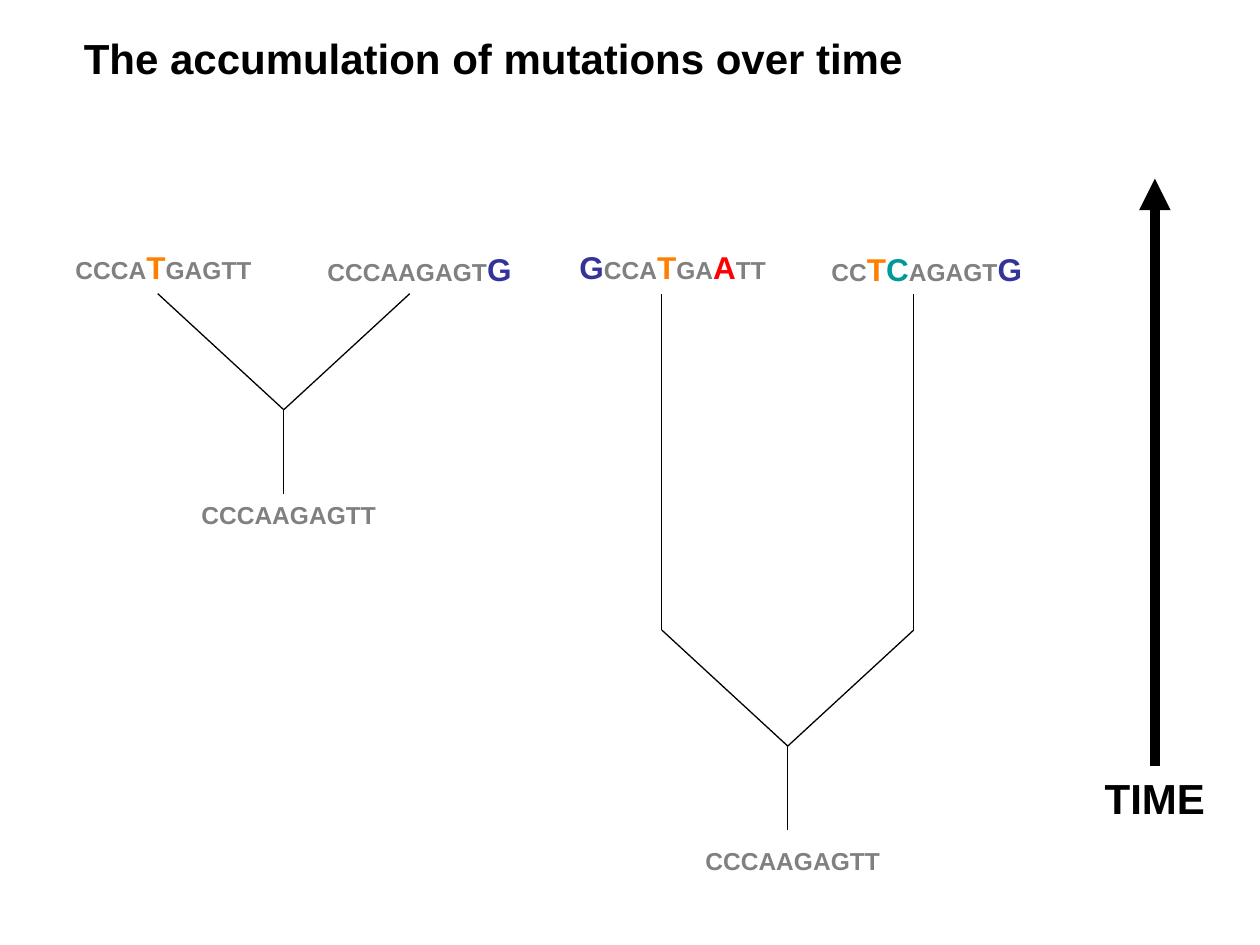
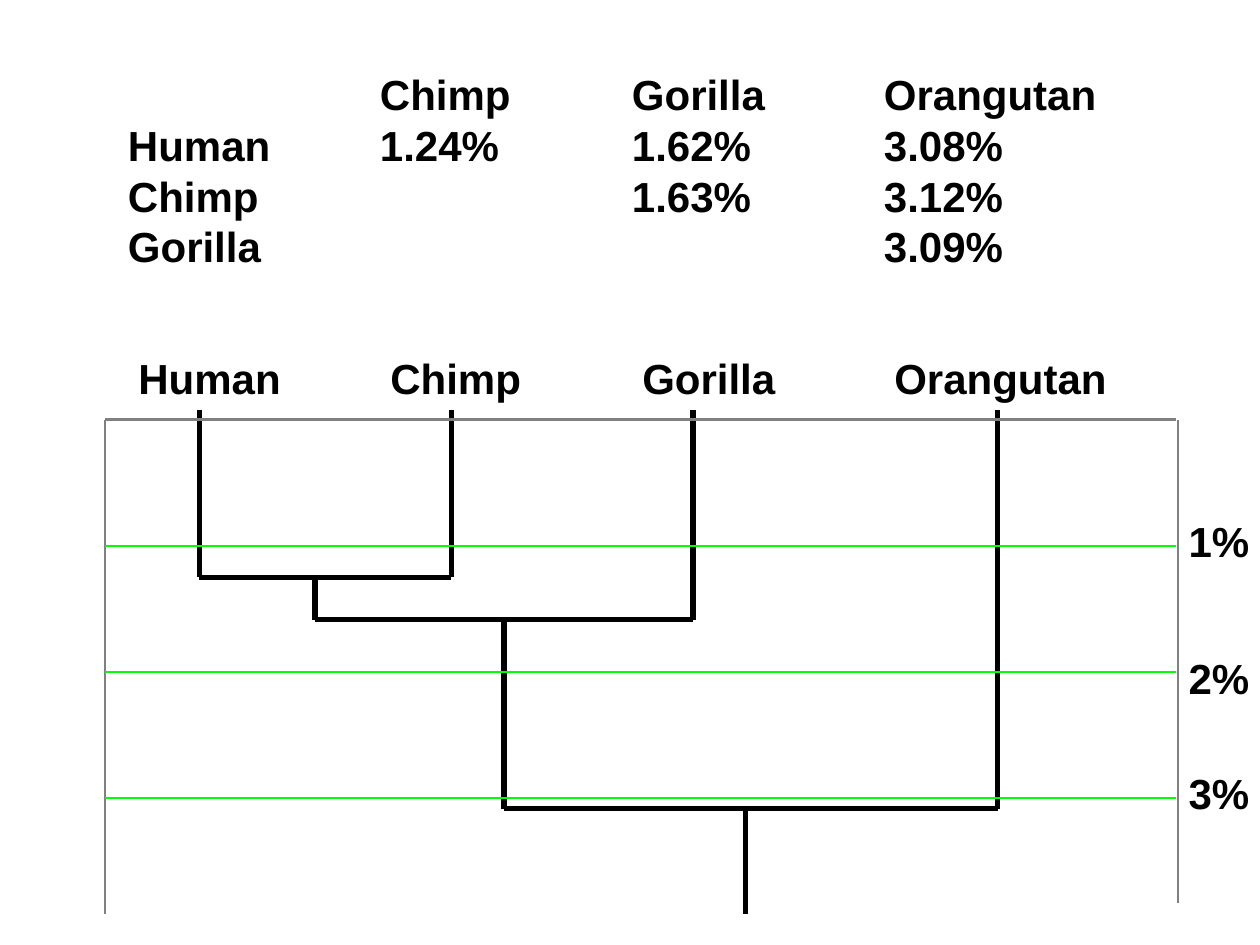
from dataclasses import dataclass
from itertools import groupby

from lxml import etree
from pptx import Presentation
from pptx.dml.color import RGBColor as Rgb
from pptx.enum.shapes import MSO_CONNECTOR as Connector
from pptx.enum.text import MSO_ANCHOR as Anchor
from pptx.oxml.ns import qn
from pptx.util import Cm, Pt


@dataclass(frozen=True)
class Theme:
    font: str = "Arial"
    ink: str = "000000"
    grey: str = "808080"
    green: str = "00FF00"
    heading: int = 24
    mutated: int = 18
    sequence: int = 14
    thin: float = 0.75
    grid: float = 1
    frame: float = 1.5
    branch: float = 3
    arrow: float = 6


theme = Theme()
base_colours = {"A": "FF0000", "C": "009999", "G": "333399", "T": "FF8000"}


def write(frame, runs):
    frame.word_wrap = True
    for text, size, colour in runs:
        run = frame.paragraphs[0].add_run()
        run.text = text
        formats = {"name": theme.font, "size": Pt(size), "bold": True}
        for attribute, value in formats.items():
            setattr(run.font, attribute, value)
        run.font.color.rgb = Rgb.from_string(colour)


def draw_line(slide, x1, y1, x2, y2, width, colour=theme.ink):
    line = slide.shapes.add_connector(
        Connector.STRAIGHT, Cm(x1), Cm(y1), Cm(x2), Cm(y2))
    line.line.width = Pt(width)
    line.line.color.rgb = Rgb.from_string(colour)
    etree.SubElement(line._element.spPr, qn("a:effectLst"))
    return line


deck = Presentation()
deck.slide_width, deck.slide_height = Cm(25.4), Cm(19.05)
blank = deck.slide_layouts[6]
column = 5.08

mutations = deck.slides.add_slide(blank)
for text, x, y, width in [
    ("The accumulation of mutations over time", 1.44, 0.53, 17.4),
    ("TIME", 22.02, 15.44, 2.9),
]:
    heading = mutations.shapes.add_textbox(Cm(x), Cm(y), Cm(width), Cm(1.27))
    write(heading.text_frame, [(text, theme.heading, theme.ink)])

time_arrow = draw_line(mutations, 23.28, 15.44, 23.28, 3.6, theme.arrow)
etree.SubElement(time_arrow.line._get_or_add_ln(), qn("a:tailEnd"), type="triangle")

ancestor = "CCCAAGAGTT"
tip_top = 5.92
for left, split, root_top, descendants in [
    (3.18, tip_top, 9.96, ["CCCATGAGTT", "CCCAAGAGTG"]),
    (13.34, 12.7, 16.94, ["GCCATGAATT", "CCTCAGAGTG"]),
]:
    middle, right = left + column / 2, left + column
    fork = split + 2.34
    draw_line(mutations, left, split, middle, fork, theme.thin)
    draw_line(mutations, middle, fork, right, split, theme.thin)
    draw_line(mutations, middle, fork, middle, fork + 1.69, theme.thin)
    if split > tip_top:
        for tip in (left, right):
            draw_line(mutations, tip, split, tip, tip_top, theme.thin)

    for sequence, x, y in [
        (ancestor, middle, root_top),
        (descendants[0], left, 4.87),
        (descendants[1], right, 4.91),
    ]:
        pairs = zip(sequence, ancestor)
        runs = []
        for mutated, group in groupby(pairs, lambda pair: pair[0] != pair[1] and pair[0]):
            bases = "".join(base for base, _ in group)
            runs.append((bases, theme.mutated, base_colours[mutated]) if mutated
                        else (bases, theme.sequence, theme.grey))
        label = mutations.shapes.add_textbox(Cm(x - 1.91), Cm(y), Cm(4.45), Cm(0.95))
        write(label.text_frame, runs)

apes = deck.slides.add_slide(blank)
distances = [
    ["", "Chimp", "Gorilla", "Orangutan"],
    ["Human", "1.24%", "1.62%", "3.08%"],
    ["Chimp", "", "1.63%", "3.12%"],
    ["Gorilla", "", "", "3.09%"],
]
row_height = 1.02
table = apes.shapes.add_table(
    4, 4, Cm(2.33), Cm(1.43), Cm(4 * column), Cm(4 * row_height)).table
for band in ("first_row", "horz_banding"):
    setattr(table, band, False)
cell_formats = {
    "margin_left": Cm(0.25), "margin_right": Cm(0),
    "margin_top": Cm(0), "margin_bottom": Cm(0),
    "vertical_anchor": Anchor.MIDDLE,
}
for row, values in zip(table.rows, distances):
    row.height = Cm(row_height)
    for cell, value in zip(row.cells, values):
        cell.fill.background()
        for attribute, setting in cell_formats.items():
            setattr(cell, attribute, setting)
        if value:
            write(cell.text_frame, [(value, theme.heading, theme.ink)])

for index, species in enumerate(["Human", "Chimp", "Gorilla", "Orangutan"]):
    label = apes.shapes.add_textbox(
        Cm(2.54 + index * column), Cm(6.99), Cm(column), Cm(1.27))
    write(label.text_frame, [(species, theme.heading, theme.ink)])

tips_top, zero, percent = 8.26, 8.46, 2.54
human, chimp, gorilla, orangutan = 4.02, 9.1, 13.97, 20.11
human_chimp, african, great_apes = 6.35, 10.16, 15.03
chimp_split, gorilla_split, orangutan_split, bottom = 11.64, 12.49, 16.3, 18.42
for x, top, end in [
    (human, tips_top, chimp_split),
    (chimp, tips_top, chimp_split),
    (gorilla, tips_top, gorilla_split),
    (orangutan, tips_top, orangutan_split),
    (human_chimp, chimp_split, gorilla_split),
    (african, gorilla_split, orangutan_split),
    (great_apes, orangutan_split, bottom),
]:
    draw_line(apes, x, top, x, end, theme.branch)
for start, end, y in [
    (human, chimp, chimp_split),
    (human_chimp, gorilla, gorilla_split),
    (african, orangutan, orangutan_split),
]:
    draw_line(apes, start, y, end, y, theme.branch)

frame_left, frame_right = 2.12, 23.71
draw_line(apes, frame_left, zero, frame_right, zero, theme.frame, theme.grey)
draw_line(apes, frame_left, zero, frame_left, bottom, theme.frame, theme.grey)
draw_line(apes, 23.75, zero, 23.75, 18.2, theme.frame, theme.grey)
for level, label_top in enumerate([10.26, 13.03, 15.34], start=1):
    y = zero + level * percent
    draw_line(apes, frame_left, y, frame_right, y, theme.grid, theme.green)
    label = apes.shapes.add_textbox(Cm(23.71), Cm(label_top), Cm(1.69), Cm(1.27))
    label.text_frame.margin_right = Cm(0)
    write(label.text_frame, [(f"{level}%", theme.heading, theme.ink)])

deck.save("out.pptx")
